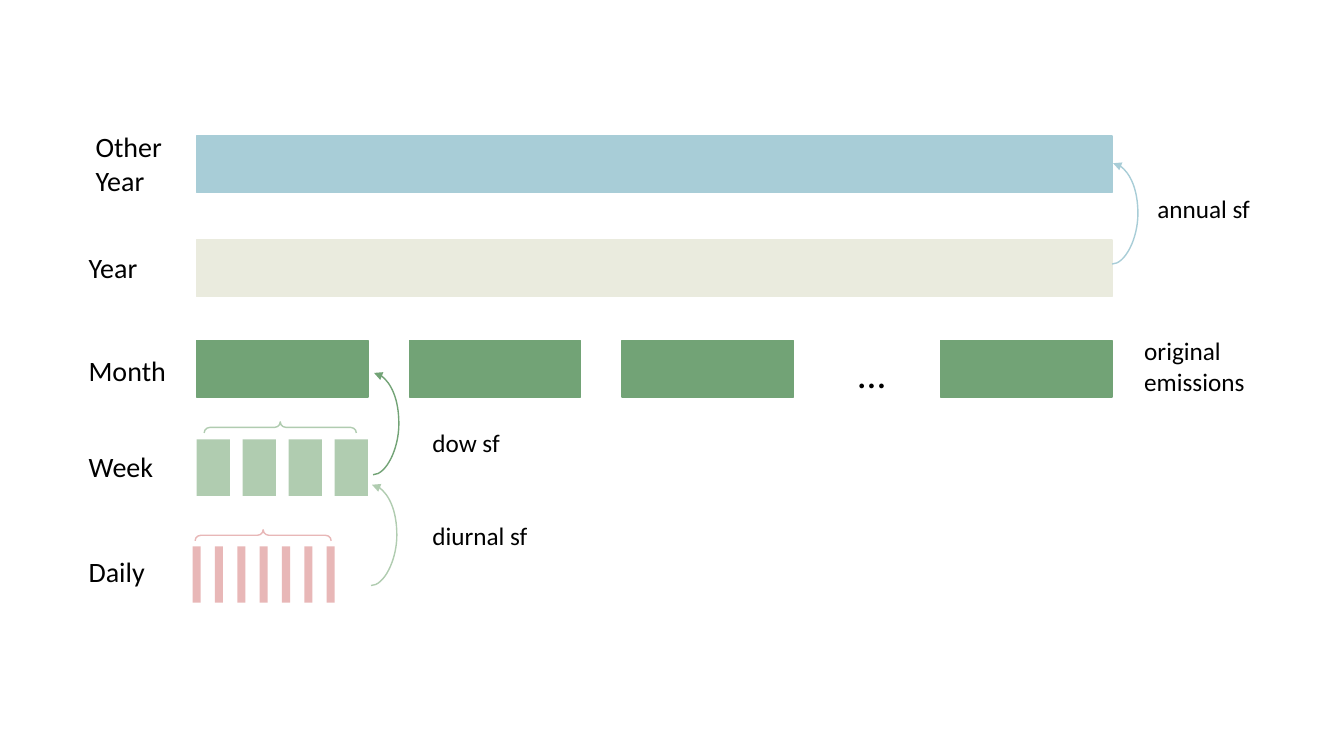
from lxml import etree
from pptx import Presentation
from pptx.dml.color import RGBColor
from pptx.enum.shapes import MSO_CONNECTOR, MSO_SHAPE as SHAPE
from pptx.enum.text import MSO_AUTO_SIZE as FIT
from pptx.oxml.ns import qn
from pptx.util import Inches, Pt

BLUE, SAND, GREEN = "A8CDD7", "EAEBDE", "72A376"
MINT, PINK, BLACK = "B0CCB0", "E8B7B7", "000000"
LEFT, WIDE, HIGH = 1.95, 9.08, 0.56


def paint(form, color):
    form.solid()
    form.fore_color.rgb = RGBColor.from_string(color)


def stroke(line, color):
    paint(line.fill, color)
    line.width = Pt(1)


def add_bar(slide, x, y, w, color, edge=True):
    bar = slide.shapes.add_shape(
        SHAPE.RECTANGLE, Inches(x), Inches(y), Inches(w), Inches(HIGH))
    bar.shadow.inherit = False
    paint(bar.fill, color)
    if edge:
        stroke(bar.line, color)
    else:
        bar.line.fill.background()


def add_row(slide, first, last, count, y, w, color, edge=True):
    """Spread equal bars from the left edge first to the left edge last."""
    step = (last - first) / (count - 1)
    for i in range(count):
        add_bar(slide, first + i * step, y, w, color, edge)


def add_brace(slide, x, y, span, color):
    """Draw a brace of the given span, centred on (x, y), pointing up."""
    deep = 0.11
    brace = slide.shapes.add_shape(
        SHAPE.RIGHT_BRACE, Inches(x - deep / 2), Inches(y - span / 2),
        Inches(deep), Inches(span))
    brace.rotation = 270
    brace.adjustments[0] = 0.52
    brace.adjustments[1] = 0.5
    brace.shadow.inherit = False
    brace.fill.background()
    stroke(brace.line, color)


def add_arc(slide, x, low, high, color):
    """Draw a curved arrow from low up to high that bulges to the right."""
    thin, bulge = 0.01, 0.26
    arc = slide.shapes.add_connector(
        MSO_CONNECTOR.CURVE, Inches(x), Inches(low),
        Inches(x + thin), Inches(high))
    stroke(arc.line, color)
    props = arc._element.spPr
    guides = props.find(qn("a:prstGeom")).find(qn("a:avLst"))
    ratio = round(bulge / thin * 100000)
    etree.SubElement(guides, qn("a:gd"), name="adj1", fmla=f"val {ratio}")
    etree.SubElement(props.find(qn("a:ln")), qn("a:tailEnd"), type="triangle")
    etree.SubElement(props, qn("a:effectLst"))


def add_label(slide, text, x, y, w, h, size):
    box = slide.shapes.add_textbox(
        Inches(x), Inches(y), Inches(w), Inches(h))
    frame = box.text_frame
    frame.word_wrap = True
    frame.auto_size = FIT.SHAPE_TO_FIT_TEXT
    frame.text = text
    for para in frame.paragraphs:
        para.font.size = Pt(size)
        para.font.name = "Calibri"
        para.font.color.rgb = RGBColor.from_string(BLACK)


def main():
    deck = Presentation()
    deck.slide_width, deck.slide_height = Inches(13.33), Inches(7.5)
    slide = deck.slides.add_slide(deck.slide_layouts[6])

    add_bar(slide, LEFT, 1.35, WIDE, BLUE)
    add_bar(slide, LEFT, 2.38, WIDE, SAND)
    add_row(slide, LEFT, 6.17, 3, 3.38, 1.7, GREEN)
    add_bar(slide, 9.33, 3.38, 1.7, GREEN)
    add_row(slide, LEFT, 3.32, 4, 4.36, 0.33, MINT, edge=False)
    add_row(slide, 1.91, 3.24, 7, 5.42, 0.08, PINK, edge=False)

    add_brace(slide, 2.78, 4.24, 1.51, MINT)
    add_brace(slide, 2.61, 5.31, 1.35, PINK)

    add_arc(slide, 11.03, 2.62, 1.62, BLUE)
    add_arc(slide, 3.7, 4.71, 3.7, GREEN)
    add_arc(slide, 3.68, 5.81, 4.81, MINT)

    add_label(slide, "Other\nYear", 0.85, 1.24, 1.66, 0.77, 20)
    for text, y, w in (("Year", 2.44, 1.66), ("Month", 3.46, 1.66),
                       ("Week", 4.41, 0.92), ("Daily", 5.45, 0.8)):
        add_label(slide, text, 0.78, y, w, 0.44, 20)
    add_label(slide, "...", 8.4, 3.42, 0.8, 0.57, 28)
    for text, x, y, h in (("annual sf", 11.38, 1.87, 0.4),
                          ("dow sf", 4.19, 4.19, 0.4),
                          ("diurnal sf", 4.19, 5.11, 0.4),
                          ("original emissions", 11.25, 3.28, 0.71)):
        add_label(slide, text, x, y, 1.59, h, 18)

    deck.save("out.pptx")


if __name__ == "__main__":
    main()
